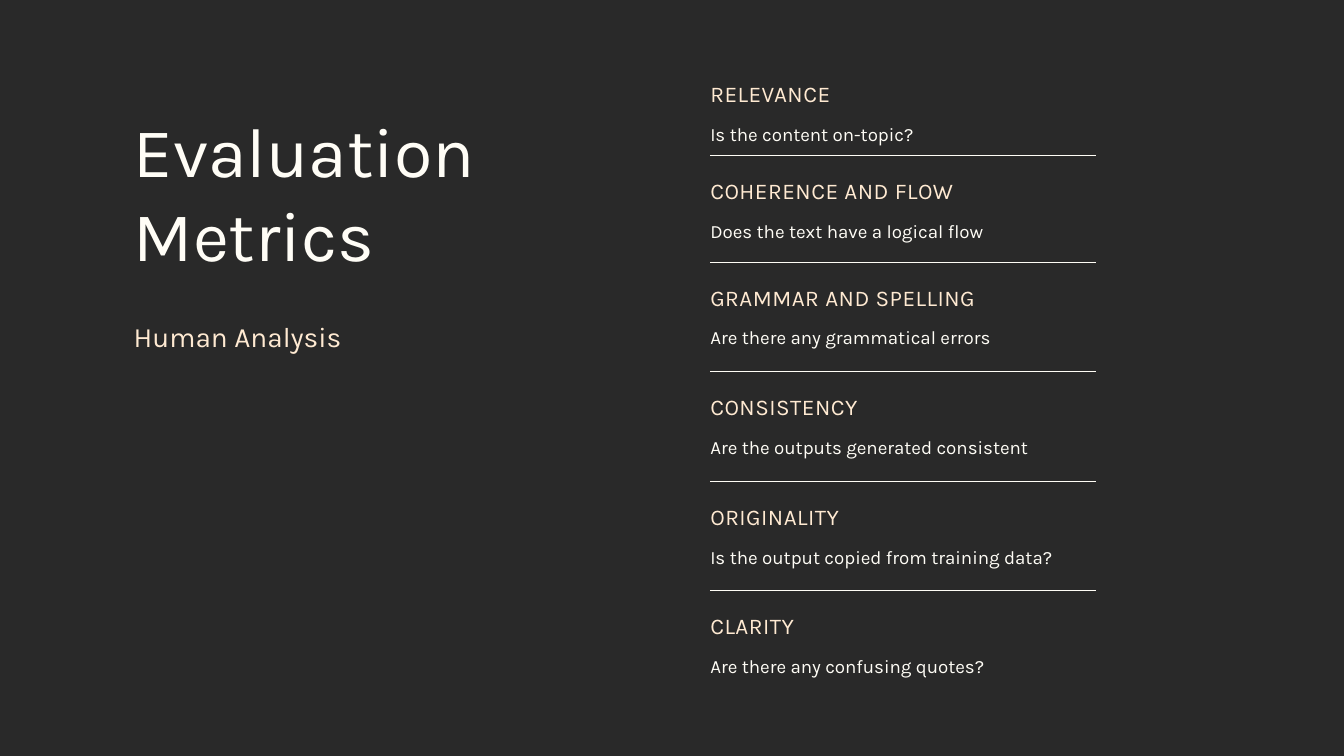
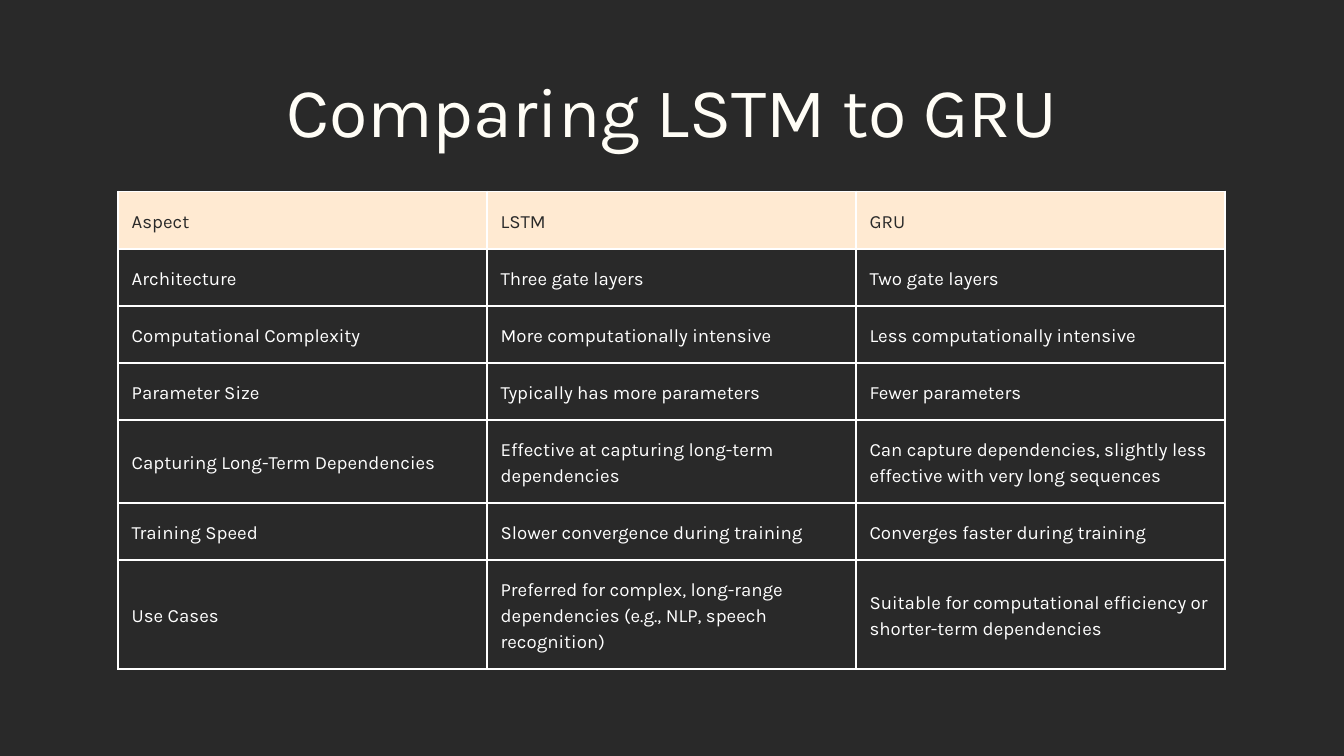
from lxml.etree import SubElement
from pptx import Presentation
from pptx.dml.color import RGBColor
from pptx.enum.shapes import MSO_CONNECTOR
from pptx.enum.text import MSO_ANCHOR, MSO_AUTO_SIZE, PP_ALIGN
from pptx.oxml import parse_xml
from pptx.oxml.ns import nsdecls, qn
from pptx.util import Inches, Pt

FONT = "Karla"
DARK, CREAM, PEACH, WHITE = "292929", "FFFDF6", "FFEAD2", "FFFFFF"


def style_text(frame, text, size, color, line_height, margin=0, align=PP_ALIGN.LEFT):
    """Fill a text frame with one paragraph and return its run."""
    frame.text = text
    frame.word_wrap = True
    frame.margin_left = frame.margin_right = Inches(margin)
    frame.margin_top = frame.margin_bottom = Inches(margin)
    para = frame.paragraphs[0]
    para.alignment = align
    para.line_spacing = Pt(line_height)
    span = para.runs[0]
    span.font.name = FONT
    span.font.size = Pt(size)
    span.font.color.rgb = RGBColor.from_string(color)
    return span


def add_titled_page(title, left, top, width, height, align):
    page = deck.slides.add_slide(deck.slide_layouts[5])
    box = page.shapes.title
    box.left, box.top = Inches(left), Inches(top)
    box.width, box.height = Inches(width), Inches(height)
    style_text(box.text_frame, title, 75, CREAM, 90, align=align)
    box.text_frame.vertical_anchor = MSO_ANCHOR.TOP
    box.text_frame.auto_size = MSO_AUTO_SIZE.NONE
    return page


# Deck with a shared dark background
deck = Presentation()
deck.slide_width, deck.slide_height = Inches(20), Inches(11.25)
background = deck.slide_master.background.fill
background.solid()
background.fore_color.rgb = RGBColor.from_string(DARK)

# Slide 1: evaluation metrics
page = add_titled_page("Evaluation Metrics", 1.99, 1.6, 6.4, 2.5, PP_ALIGN.LEFT)
subtitle = page.shapes.add_textbox(Inches(1.99), Inches(4.75), Inches(6.4), Inches(0.49))
style_text(subtitle.text_frame, "Human Analysis", 30, PEACH, 36)

metrics = [
    (1.19, "RELEVANCE", "Is the content on-topic?"),
    (2.63, "COHERENCE AND FLOW", "Does the text have a logical flow"),
    (4.22, "GRAMMAR AND SPELLING", "Are there any grammatical errors"),
    (5.85, "CONSISTENCY", "Are the outputs generated consistent"),
    (7.48, "ORIGINALITY", "Is the output copied from training data?"),
    (9.11, "CLARITY", "Are there any confusing quotes?"),
]
metric_left, metric_width = Inches(10.57), Inches(5.74)
for index, (top, name, question) in enumerate(metrics):
    # Divider above every metric but the first
    if index > 0:
        rule_top = Inches(top - 0.32)
        rule = page.shapes.add_connector(
            MSO_CONNECTOR.STRAIGHT, metric_left, rule_top, metric_left + metric_width, rule_top)
        rule.line.color.rgb = RGBColor.from_string(CREAM)
        rule.line.width = Pt(0.75)
        SubElement(rule._element.spPr, qn("a:effectLst"))

    name_box = page.shapes.add_textbox(metric_left, Inches(top), metric_width, Inches(0.4))
    name_span = style_text(name_box.text_frame, name, 24.1, PEACH, 28.9)
    name_span.font._element.set("spc", "50")
    question_box = page.shapes.add_textbox(
        metric_left, Inches(top + 0.58), metric_width, Inches(0.37))
    style_text(question_box.text_frame, question, 20.1, CREAM, 28.1)

# Slide 2: comparison table
page = add_titled_page("Comparing LSTM to GRU", 2.73, 1.01, 14.54, 1.25, PP_ALIGN.CENTER)
rows = [
    (0.85, "Aspect", "LSTM", "GRU"),
    (0.85, "Architecture", "Three gate layers", "Two gate layers"),
    (0.85, "Computational Complexity", "More computationally intensive",
     "Less computationally intensive"),
    (0.85, "Parameter Size", "Typically has more parameters", "Fewer parameters"),
    (1.23, "Capturing Long-Term Dependencies", "Effective at capturing long-term dependencies",
     "Can capture dependencies, slightly less effective with very long sequences"),
    (0.85, "Training Speed", "Slower convergence during training",
     "Converges faster during training"),
    (1.62, "Use Cases",
     "Preferred for complex, long-range dependencies (e.g., NLP, speech recognition)",
     "Suitable for computational efficiency or shorter-term dependencies"),
]
table = page.shapes.add_table(
    len(rows), 3, Inches(1.76), Inches(2.85), Inches(16.48), Inches(7.09)).table
table.first_row = table.horz_banding = False
for column in table.columns:
    column.width = Inches(5.49)

for row_index, (height, *texts) in enumerate(rows):
    table.rows[row_index].height = Inches(height)
    is_header = row_index == 0
    for column_index, text in enumerate(texts):
        cell = table.cell(row_index, column_index)
        style_text(cell.text_frame, text, 20, DARK if is_header else WHITE, 28)
        cell.margin_left = cell.margin_right = Inches(0.2)
        cell.margin_top = cell.margin_bottom = Inches(0.2)
        cell.vertical_anchor = MSO_ANCHOR.MIDDLE
        if is_header:
            cell.fill.solid()
            cell.fill.fore_color.rgb = RGBColor.from_string(PEACH)
        else:
            cell.fill.background()
        # Borders come before the fill in the cell properties
        for position, side in enumerate(("lnL", "lnR", "lnT", "lnB")):
            border = parse_xml(
                f'<a:{side} {nsdecls("a")} w="{Pt(2.25)}"><a:solidFill>'
                f'<a:srgbClr val="{WHITE}"/></a:solidFill></a:{side}>')
            cell._tc.tcPr.insert(position, border)

deck.save("out.pptx")
